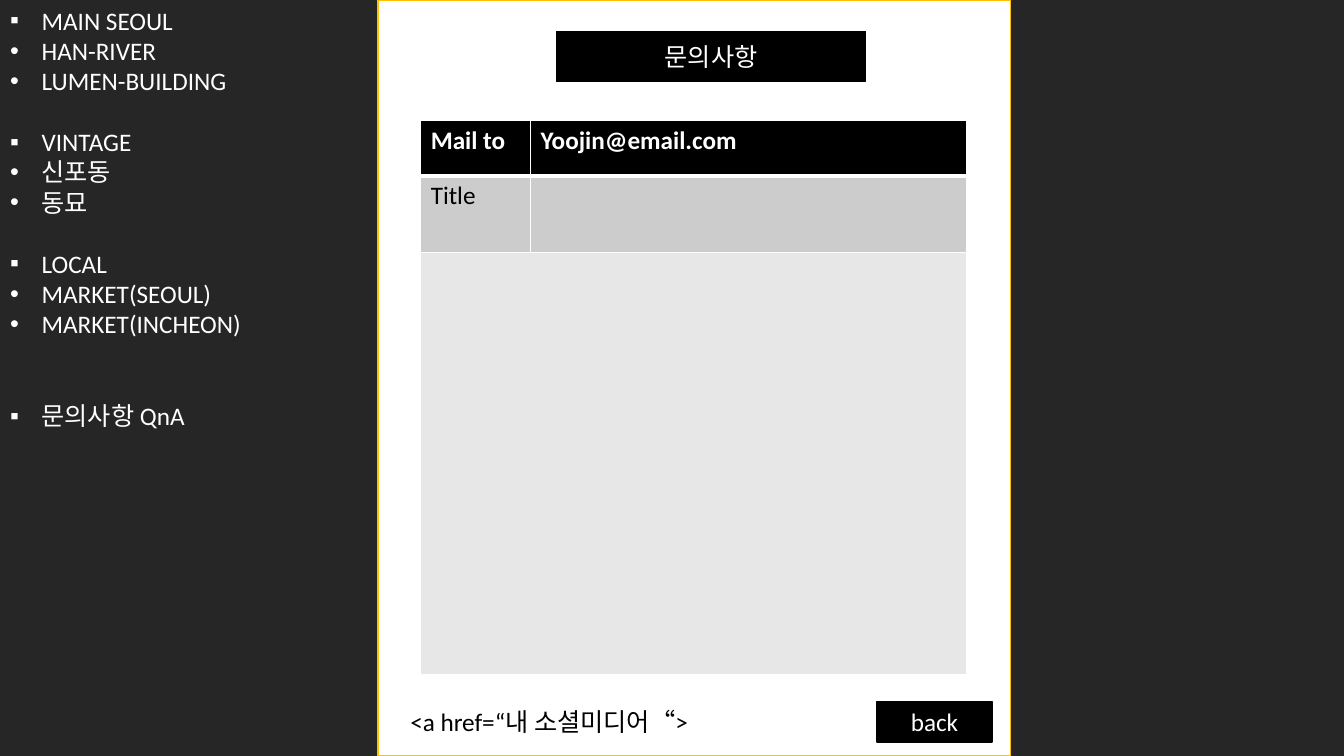
from lxml.etree import SubElement
from pptx import Presentation
from pptx.dml.color import RGBColor
from pptx.enum.shapes import MSO_SHAPE
from pptx.enum.text import MSO_ANCHOR, MSO_AUTO_SIZE, PP_ALIGN
from pptx.oxml import parse_xml
from pptx.oxml.ns import nsdecls, qn
from pptx.util import Pt

DARK, BLACK, WHITE, GOLD = "262626", "000000", "FFFFFF", "FFC000"
MID_GREY, LIGHT_GREY = "CCCCCC", "E7E7E7"
MENU = [
    ["MAIN SEOUL", "HAN-RIVER", "LUMEN-BUILDING"],
    ["VINTAGE", "신포동", "동묘"],
    ["LOCAL", "MARKET(SEOUL)", "MARKET(INCHEON)"],
    ["문의사항 QnA"],
]
LINE = 22


def paint(color_format, color):
    color_format.rgb = RGBColor.from_string(color)


def fill_shape(shape, color, border):
    shape.fill.solid()
    paint(shape.fill.fore_color, color)
    paint(shape.line.color, border)
    shape.line.width = Pt(1)


def place(shape, left, top, width, height):
    for name, value in dict(left=left, top=top, width=width, height=height).items():
        setattr(shape, name, Pt(value))


def write(para, text, color, bold=False):
    span = para.add_run()
    span.text = text
    for name, value in dict(name="Calibri", size=Pt(18), bold=bold).items():
        setattr(span.font, name, value)
    paint(span.font.color, color)


def label(shape, text):
    """Black button with centred white text."""
    fill_shape(shape, BLACK, BLACK)
    frame = shape.text_frame
    for name, value in dict(word_wrap=True, auto_size=MSO_AUTO_SIZE.NONE,
                            vertical_anchor=MSO_ANCHOR.MIDDLE).items():
        setattr(frame, name, value)
    frame.paragraphs[0].alignment = PP_ALIGN.CENTER
    write(frame.paragraphs[0], text, WHITE)


def add_rectangle(page, left, top, width, height):
    shape = page.shapes.add_shape(MSO_SHAPE.RECTANGLE, Pt(left), Pt(top), Pt(width), Pt(height))
    shape.shadow.inherit = False
    return shape


def set_bullet(para, character):
    properties = para._p.get_or_add_pPr()
    properties.set("marL", str(Pt(22.5)))
    properties.set("indent", str(-Pt(22.5)))
    SubElement(properties, qn("a:buFont")).set("typeface", "Arial")
    SubElement(properties, qn("a:buChar")).set("char", character)


def build_menu(page, left, top, width, height):
    body = page.placeholders[1]
    place(body, left, top, width, height)
    frame = body.text_frame
    frame.auto_size = MSO_AUTO_SIZE.NONE
    frame.vertical_anchor = MSO_ANCHOR.TOP
    # Blank lines ahead of each group
    for group, gap in zip(MENU, (0, 1, 1, 2)):
        for index, entry in enumerate(group):
            first = group is MENU[0] and index == 0
            para = frame.paragraphs[0] if first else frame.add_paragraph()
            para.space_before = Pt(0 if index else gap * LINE)
            set_bullet(para, "•" if index else "▪")
            write(para, entry, WHITE)


def border_cell(cell, top, bottom):
    properties = cell._tc.get_or_add_tcPr()
    for index, (side, width) in enumerate(dict(L=1, R=1, T=top, B=bottom).items()):
        properties.insert(index, parse_xml(
            f'<a:ln{side} {nsdecls("a")} w="{Pt(width)}"><a:solidFill>'
            f'<a:srgbClr val="{WHITE}"/></a:solidFill></a:ln{side}>'))


def build_mail_form(page, left, top, width, height):
    columns = (78.5, width - 78.5)
    rows = (39.6, 54.7, height - 94.3)
    table = page.shapes.add_table(3, 2, Pt(left), Pt(top), Pt(width), Pt(height)).table
    for column, size in zip(table.columns, columns):
        column.width = Pt(size)
    for row, size in zip(table.rows, rows):
        row.height = Pt(size)
    # Text, fill, text colour, top and bottom border of each row
    styles = [
        (("Mail to", "Yoojin@email.com"), BLACK, WHITE, 1, 3),
        (("Title", ""), MID_GREY, BLACK, 3, 1),
        (("", ""), LIGHT_GREY, BLACK, 1, 1),
    ]
    for row, (texts, fill, color, upper, lower) in zip(table.rows, styles):
        for cell, text in zip(row.cells, texts):
            cell.fill.solid()
            paint(cell.fill.fore_color, fill)
            border_cell(cell, upper, lower)
            if text:
                write(cell.text_frame.paragraphs[0], text, color, fill == BLACK)
    table.cell(2, 0).merge(table.cell(2, 1))


def build_contact_panel(page, left, top, width, height):
    # White panel, behind the placeholders
    panel = add_rectangle(page, left, top, width, height)
    fill_shape(panel, WHITE, GOLD)
    page.shapes._spTree.insert(2, panel._element)

    # Heading and form
    place(page.shapes.title, left + 127.4, top + 22.3, 221, 36)
    label(page.shapes.title, "문의사항")
    build_mail_form(page, left + 30.5, top + 86, 390, 396)

    # Footer: link text and back button
    footer = top + height - 39
    link = page.shapes.add_textbox(Pt(left + 16), Pt(footer), Pt(244), Pt(29))
    link.text_frame.word_wrap = True
    write(link.text_frame.paragraphs[0], "<a href=“내 소셜미디어“>", BLACK)
    label(add_rectangle(page, left + 356.5, footer, 82, 29), "back")


def main():
    deck = Presentation()
    deck.slide_width, deck.slide_height = Pt(960), Pt(540)
    page = deck.slides.add_slide(deck.slide_layouts[1])
    page.background.fill.solid()
    paint(page.background.fill.fore_color, DARK)
    build_menu(page, 0, 0, 190, 312.5)
    build_contact_panel(page, 270, 0, 452, 540)
    deck.save("out.pptx")


if __name__ == "__main__":
    main()
